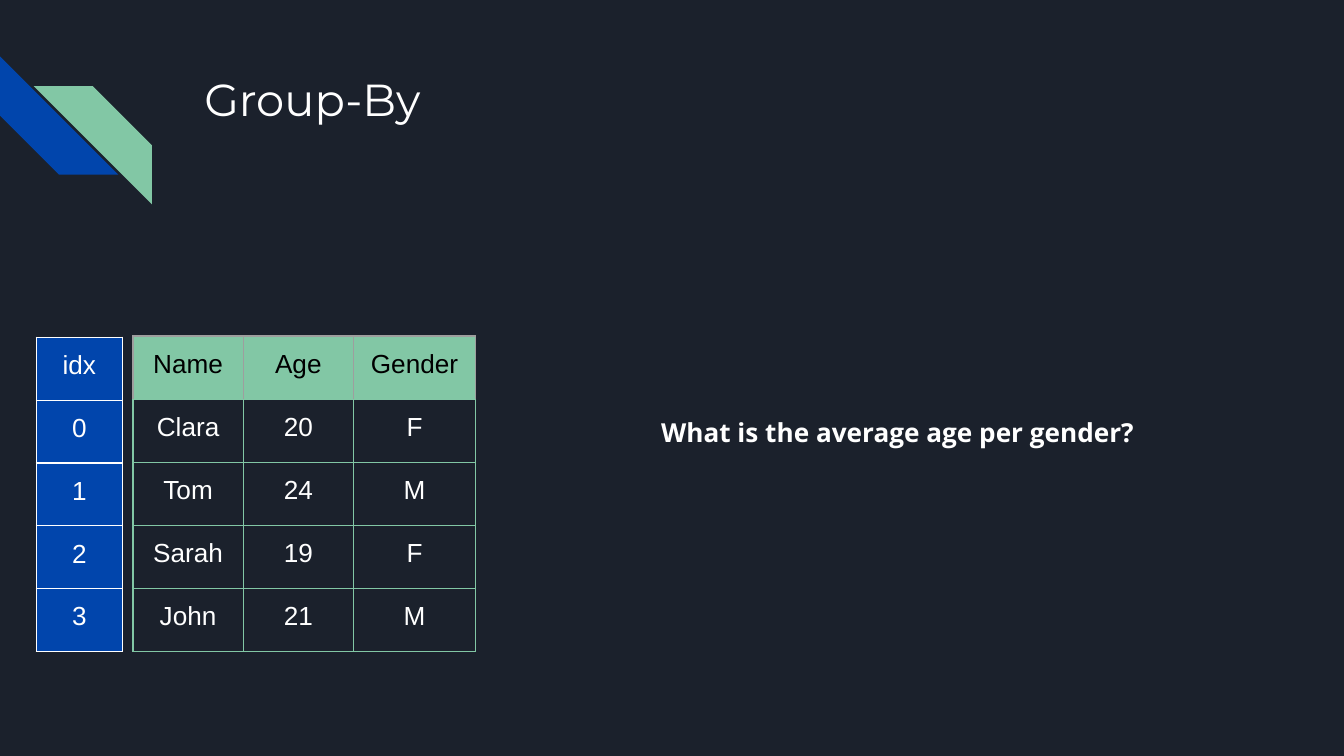
from lxml import etree
from pptx import Presentation
from pptx import util as u
from pptx.dml.color import RGBColor
from pptx.enum import shapes, text
from pptx.oxml.ns import qn

COLORS = {
    "background": "1B212C",
    "blue": "0145AC",
    "green": "82C7A5",
    "grey": "9E9E9E",
    "white": "FFFFFF",
    "black": "000000",
}
PEOPLE = [
    ["Name", "Age", "Gender"],
    ["Clara", "20", "F"],
    ["Tom", "24", "M"],
    ["Sarah", "19", "F"],
    ["John", "21", "M"],
]
INDEX = [["idx"], ["0"], ["1"], ["2"], ["3"]]


def rgb(name):
    return RGBColor.from_string(COLORS[name])


def inches(*lengths):
    return [u.Inches(length) for length in lengths]


def style_paragraph(paragraph, font, size, color, alignment, bold=False):
    paragraph.alignment = alignment
    paragraph.font.name = font
    paragraph.font.size = u.Pt(size)
    paragraph.font.bold = bold
    paragraph.font.color.rgb = rgb(color)


def set_frame(frame, anchor):
    frame.word_wrap = True
    frame.auto_size = text.MSO_AUTO_SIZE.NONE
    frame.vertical_anchor = anchor
    frame.margin_left = frame.margin_right = u.Inches(0.1)
    frame.margin_top = frame.margin_bottom = u.Inches(0.1)


def add_stripes(slide, left, top, size):
    offsets = [(0, 0, "blue"), (0.25, 0.22, "green")]
    for across, down, color in offsets:
        stripe = slide.shapes.add_shape(
            shapes.MSO_SHAPE.DIAGONAL_STRIPE,
            *inches(left + across, top + down, size, size))
        stripe.shadow.inherit = False
        stripe.fill.solid()
        stripe.fill.fore_color.rgb = rgb(color)
        stripe.line.fill.background()
        if color == "blue":
            stripe.rotation = 270
        else:
            stripe._element.spPr.xfrm.set("flipH", "1")


def add_title(slide, left, top, width, height):
    title = slide.shapes.title
    title.left, title.top, title.width, title.height = inches(left, top, width, height)
    title.text_frame.text = "Group-By"
    set_frame(title.text_frame, text.MSO_ANCHOR.TOP)
    style_paragraph(title.text_frame.paragraphs[0], "Montserrat", 24, "white",
                    text.PP_ALIGN.LEFT)


def set_borders(cell, colors):
    properties = cell._tc.get_or_add_tcPr()
    for position, (side, color) in enumerate(zip("LRTB", colors)):
        line = etree.Element(qn(f"a:ln{side}"), w=str(u.Pt(0.75)))
        fill = etree.SubElement(line, qn("a:solidFill"))
        etree.SubElement(fill, qn("a:srgbClr"), val=COLORS[color])
        properties.insert(position, line)


def add_data_table(slide, left, top, height, widths, rows, header, body):
    table = slide.shapes.add_table(
        len(rows), len(widths), *inches(left, top, sum(widths), height)).table
    table.first_row = table.horz_banding = False
    for column, width in zip(table.columns, widths):
        column.width = u.Inches(width)
    for row_number, values in enumerate(rows):
        table.rows[row_number].height = u.Inches(height / len(rows))
        fill, font_color, borders = body if row_number else header
        for column_number, value in enumerate(values):
            cell = table.cell(row_number, column_number)
            cell.text = value
            cell.margin_left = cell.margin_right = u.Inches(0.1)
            cell.margin_top = cell.margin_bottom = u.Inches(0.1)
            style_paragraph(cell.text_frame.paragraphs[0], "Arial", 14, font_color,
                            text.PP_ALIGN.CENTER)
            if fill:
                cell.fill.solid()
                cell.fill.fore_color.rgb = rgb(fill)
            else:
                cell.fill.background()
            set_borders(cell, borders)


def add_question(slide, left, top, width, height):
    frame = slide.shapes.add_textbox(*inches(left, top, width, height)).text_frame
    frame.text = "What is the average age per gender?"
    set_frame(frame, text.MSO_ANCHOR.BOTTOM)
    style_paragraph(frame.paragraphs[0], "Open Sans", 14, "white",
                    text.PP_ALIGN.LEFT, bold=True)


def main():
    presentation = Presentation()
    presentation.slide_width = u.Inches(10)
    presentation.slide_height = u.Inches(10 * 9 / 16)
    slide = presentation.slides.add_slide(presentation.slide_layouts[5])
    slide.background.fill.solid()
    slide.background.fill.fore_color.rgb = rgb("background")

    add_stripes(slide, 0, 0.42, 0.88)
    add_title(slide, 1.42, 0.43, 7.7, 1)
    people_header = ("green", "black", ["grey", "grey", "grey", "green"])
    people_body = (None, "white", ["green"] * 4)
    add_data_table(slide, 0.99, 2.5, 2.35, [0.82, 0.82, 0.91], PEOPLE,
                   people_header, people_body)
    index_style = ("blue", "white", ["white"] * 4)
    add_data_table(slide, 0.27, 2.51, 2.34, [0.64], INDEX, index_style, index_style)
    add_question(slide, 4.82, 2.76, 3.81, 0.67)
    presentation.save("out.pptx")


if __name__ == "__main__":
    main()
